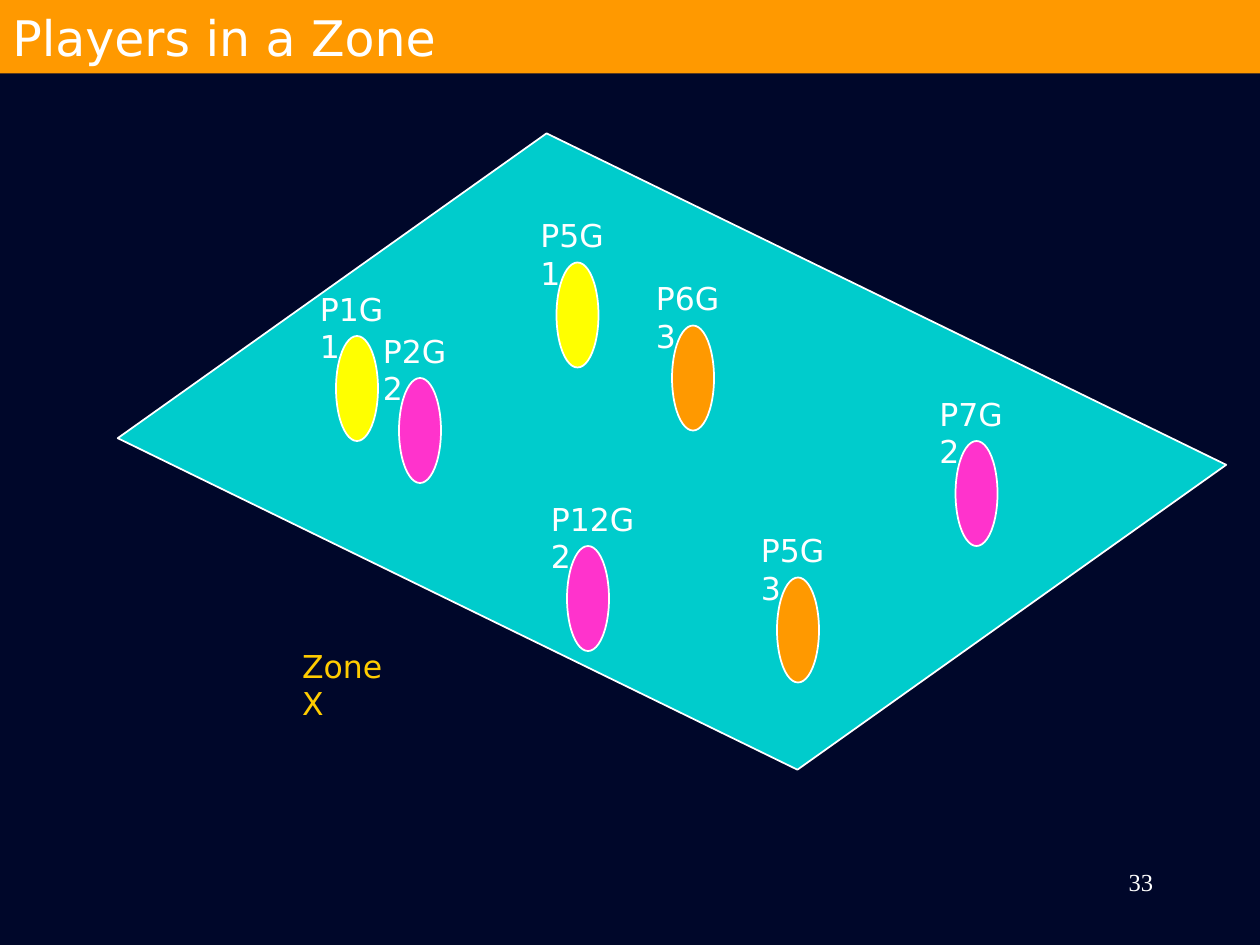
"""Build the slide of players standing in a zone."""
import pptx
import pptx.util
import pptx.dml.color
import pptx.enum.shapes
import pptx.enum.text

Pt = pptx.util.Pt
KIND = pptx.enum.shapes.MSO_SHAPE
ALIGN = pptx.enum.text.PP_ALIGN
ANCHOR = pptx.enum.text.MSO_ANCHOR

SANS, SERIF = "DejaVu Sans", "Times New Roman"
WHITE, ORANGE, NAVY, TEAL, GOLD = "FFFFFF", "FF9900", "00072A", "00CCCC", "FFCC00"
TEAMS = {"1": "FFFF00", "2": "FF33CC", "3": ORANGE}
PLAYERS = [
    ("P1G1", 192, 192),
    ("P5G1", 318, 150),
    ("P2G2", 228, 216),
    ("P7G2", 546, 252),
    ("P12G2", 324, 312),
    ("P6G3", 384, 186),
    ("P5G3", 444, 330),
]


def paint(form, tone):
    form.solid()
    form.fore_color.rgb = pptx.dml.color.RGBColor.from_string(tone)


def draw(home, kind, box, tone, edge=None):
    shape = home.add_shape(kind, *map(Pt, box))
    shape.shadow.inherit = False
    paint(shape.fill, tone)
    if edge:
        paint(shape.line.fill, edge)
        shape.line.width = Pt(1)
    else:
        shape.line.fill.background()
    return shape


def write(shape, text, size, tone=WHITE, font=SANS, align=ALIGN.LEFT):
    frame = shape.text_frame
    frame.text = text
    frame.word_wrap = True
    line = frame.paragraphs[0]
    line.alignment = align
    face = line.runs[0].font
    face.name, face.size = font, Pt(size)
    paint(face.fill, tone)


def label(home, box, text, size, **style):
    write(home.add_textbox(*map(Pt, box)), text, size, **style)


def main():
    deck = pptx.Presentation()
    deck.slide_width, deck.slide_height = Pt(720), Pt(540)
    slide = deck.slides.add_slide(deck.slide_layouts[6])
    paint(slide.background.fill, NAVY)
    shapes = slide.shapes

    title = draw(shapes, KIND.RECTANGLE, (0, 0, 720, 42), ORANGE)
    write(title, "Players in a Zone", 28)
    title.text_frame.vertical_anchor = ANCHOR.MIDDLE
    label(shapes, (516, 492, 150, 36), "33", 14, font=SERIF, align=ALIGN.RIGHT)

    zone = draw(shapes, KIND.PARALLELOGRAM, (96, 126, 576, 264), TEAL, WHITE)
    zone.adjustments[0] = 0.545
    zone.rotation = 206
    label(shapes, (165.6, 366, 72, 28.8), "Zone X", 18, tone=GOLD)

    for name, left, top in PLAYERS:
        group = shapes.add_group_shape().shapes
        draw(group, KIND.OVAL, (left, top, 24, 60), TEAMS[name[-1]], WHITE)
        width = 59 + 10 * (len(name) - 4)
        label(group, (left - 16.3, top - 30, width, 28.8), name, 18)

    deck.save("out.pptx")


if __name__ == "__main__":
    main()
